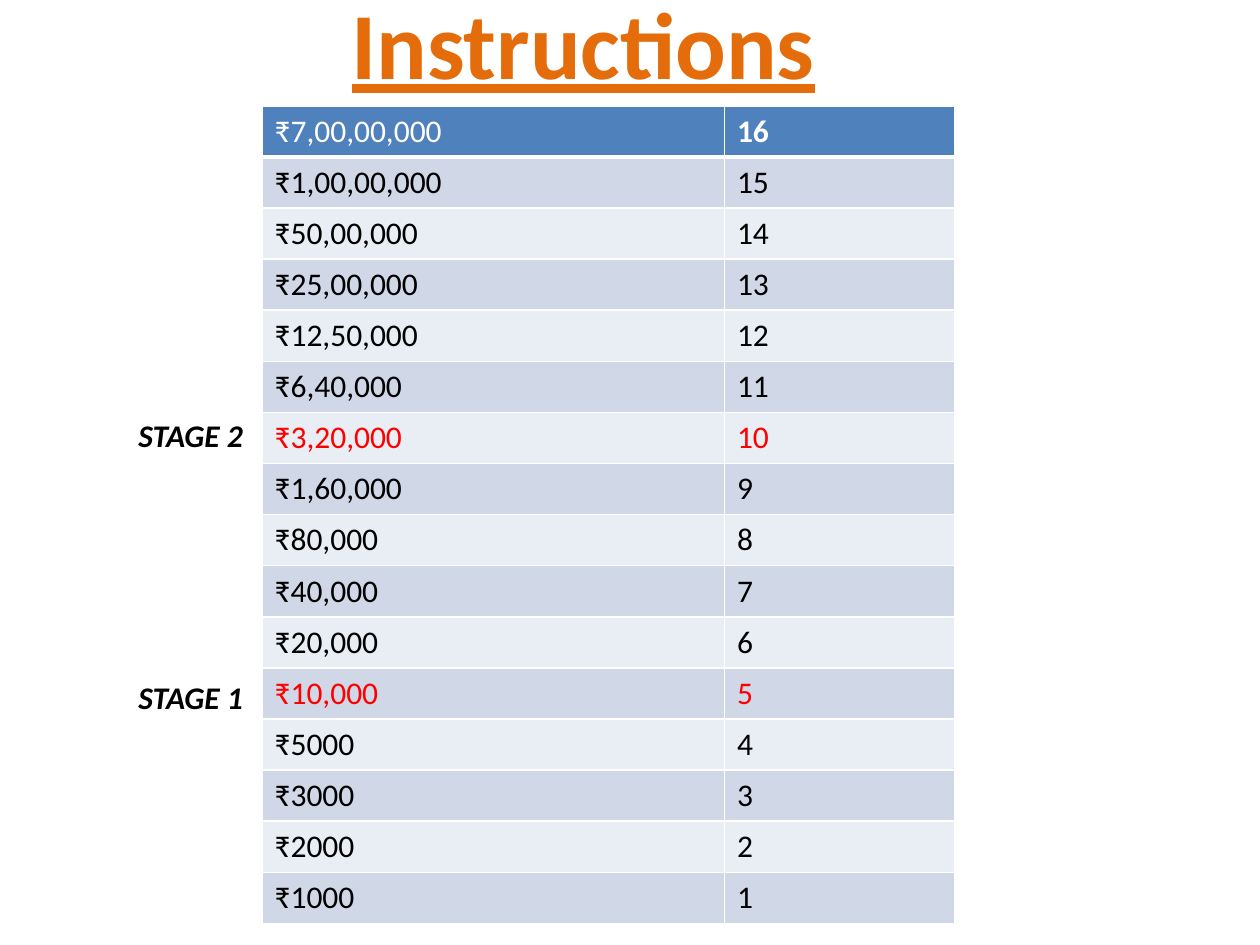
from dataclasses import dataclass

from lxml.etree import SubElement
from pptx import Presentation
from pptx.dml.color import RGBColor
from pptx.enum.text import MSO_AUTO_SIZE, PP_ALIGN
from pptx.oxml import parse_xml
from pptx.oxml.ns import nsdecls, qn
from pptx.util import Inches, Pt


@dataclass(frozen=True)
class Theme:
    font: str = "Calibri"
    title_size: int = 54
    body_size: int = 18
    title: str = "E46C0A"
    title_outline: str = "467AB8"
    header: str = "4F81BD"
    bands: tuple[str, str] = ("D0D8E8", "E9EDF4")
    white: str = "FFFFFF"
    text: str = "000000"
    milestone: str = "FF0000"


@dataclass(frozen=True)
class Label:
    text: str
    left: float
    top: float
    width: float
    height: float
    size: int
    color: str
    italic: bool = False
    underline: bool = False
    centred: bool = False
    wrap: bool = True


THEME = Theme()
TITLE = Label("Instructions", 2.67, -0.17, 3.92, 1.01, THEME.title_size, THEME.title,
              underline=True, centred=True, wrap=False)
STAGES = [
    Label(text, 1, top, 1.04, 0.4, THEME.body_size, THEME.text, italic=True)
    for text, top in (("STAGE 1", 5.33), ("STAGE 2", 3.25))
]
# Prizes from the last question down to the first
PRIZES = [
    "₹7,00,00,000", "₹1,00,00,000", "₹50,00,000", "₹25,00,000",
    "₹12,50,000", "₹6,40,000", "₹3,20,000", "₹1,60,000",
    "₹80,000", "₹40,000", "₹20,000", "₹10,000",
    "₹5000", "₹3000", "₹2000", "₹1000",
]
MILESTONES = {5, 10}
COLUMN_WIDTHS = (3.67, 1.83)
TABLE_HEIGHT = 6.49


def style_font(font, size: int, color: str, bold: bool) -> None:
    font.name = THEME.font
    font.size = Pt(size)
    font.bold = bold
    font.color.rgb = RGBColor.from_string(color)


def add_label(page, label: Label):
    """Add a bold one-line text box and return its run."""
    box = page.shapes.add_textbox(Inches(label.left), Inches(label.top),
                                  Inches(label.width), Inches(label.height))
    frame = box.text_frame
    frame.word_wrap = label.wrap
    frame.auto_size = MSO_AUTO_SIZE.SHAPE_TO_FIT_TEXT
    para = frame.paragraphs[0]
    para.alignment = PP_ALIGN.CENTER if label.centred else PP_ALIGN.LEFT
    span = para.add_run()
    span.text = label.text
    style_font(para.font, label.size, label.color, bold=True)
    para.font.italic = label.italic
    para.font.underline = label.underline
    return span


def outline_text(span, color: str, width: float) -> None:
    line = parse_xml(f'<a:ln {nsdecls("a")} w="{Pt(width)}"><a:solidFill>'
                     f'<a:srgbClr val="{color}"/></a:solidFill></a:ln>')
    span._r.get_or_add_rPr().insert(0, line)


def set_borders(cell, top: float, bottom: float) -> None:
    properties = cell._tc.get_or_add_tcPr()
    widths = {"a:lnL": 1, "a:lnR": 1, "a:lnT": top, "a:lnB": bottom}
    for tag, width in widths.items():
        line = SubElement(properties, qn(tag), w=str(Pt(width)))
        fill = SubElement(line, qn("a:solidFill"))
        SubElement(fill, qn("a:srgbClr"), val=THEME.white)


def fill_cell(cell, text: str, fill: str, color: str, bold: bool) -> None:
    cell.text = text
    style_font(cell.text_frame.paragraphs[0].font, THEME.body_size, color, bold)
    cell.fill.solid()
    cell.fill.fore_color.rgb = RGBColor.from_string(fill)


def add_prize_table(page) -> None:
    count = len(PRIZES)
    table = page.shapes.add_table(count, len(COLUMN_WIDTHS), Inches(2.08), Inches(0.84),
                                  Inches(sum(COLUMN_WIDTHS)), Inches(TABLE_HEIGHT)).table
    for column, width in zip(table.columns, COLUMN_WIDTHS):
        column.width = Inches(width)
    for index, prize in enumerate(PRIZES):
        table.rows[index].height = Inches(TABLE_HEIGHT / count)
        question = count - index
        is_header = index == 0
        fill = THEME.header if is_header else THEME.bands[(index - 1) % 2]
        color = THEME.white if is_header else THEME.text
        if question in MILESTONES:
            color = THEME.milestone
        for column, text in enumerate((prize, str(question))):
            cell = table.cell(index, column)
            # Borders come before the fill in the cell properties
            set_borders(cell, top=3 if index == 1 else 1, bottom=3 if is_header else 1)
            fill_cell(cell, text, fill, color, bold=is_header and column == 1)


def main() -> None:
    deck = Presentation()
    deck.slide_width, deck.slide_height = Inches(10), Inches(7.5)
    page = deck.slides.add_slide(deck.slide_layouts[6])

    # Title
    outline_text(add_label(page, TITLE), THEME.title_outline, 0.83)

    # Prize ladder
    add_prize_table(page)

    # Stage markers beside the ladder
    for stage in STAGES:
        add_label(page, stage)

    deck.save("out.pptx")


if __name__ == "__main__":
    main()
